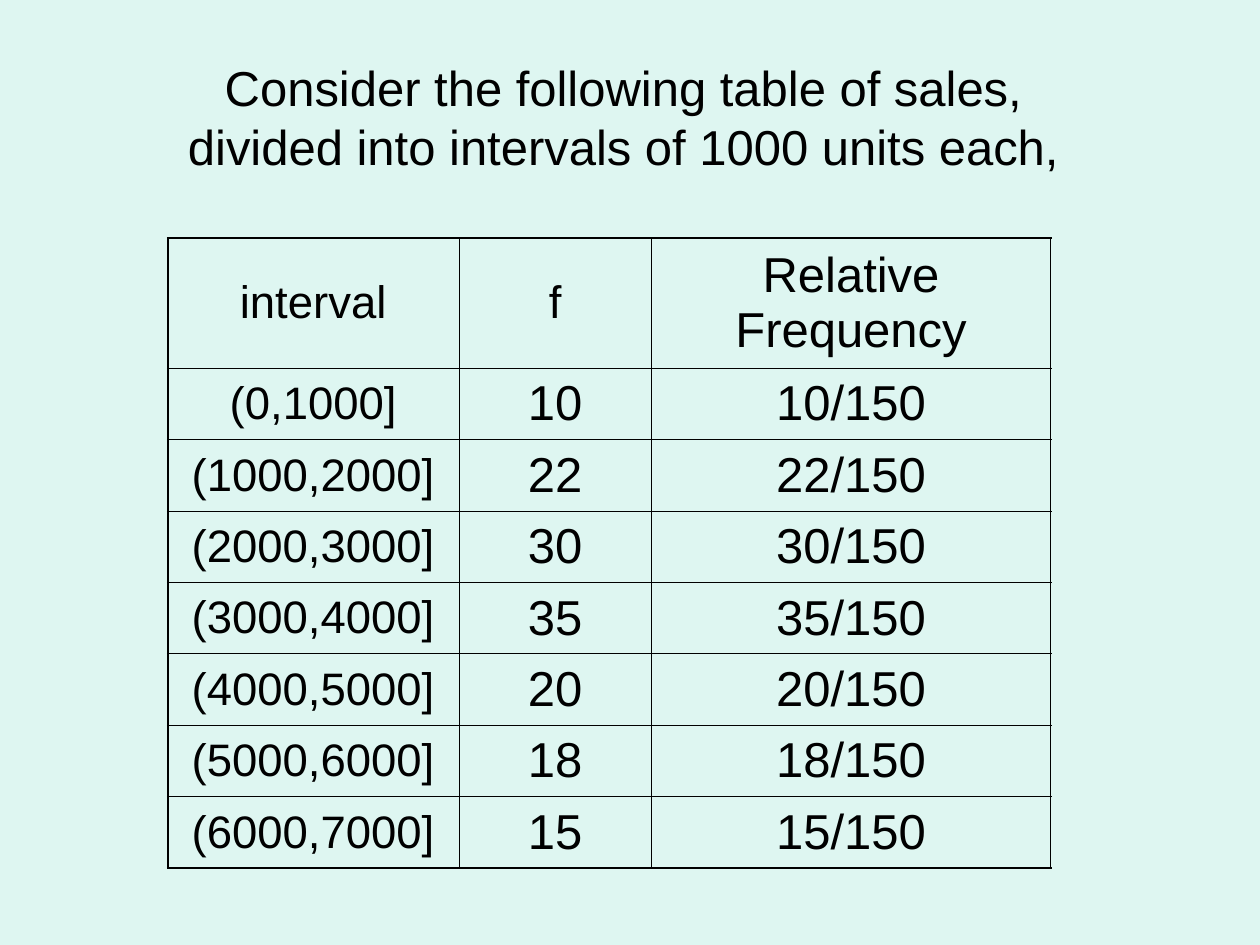
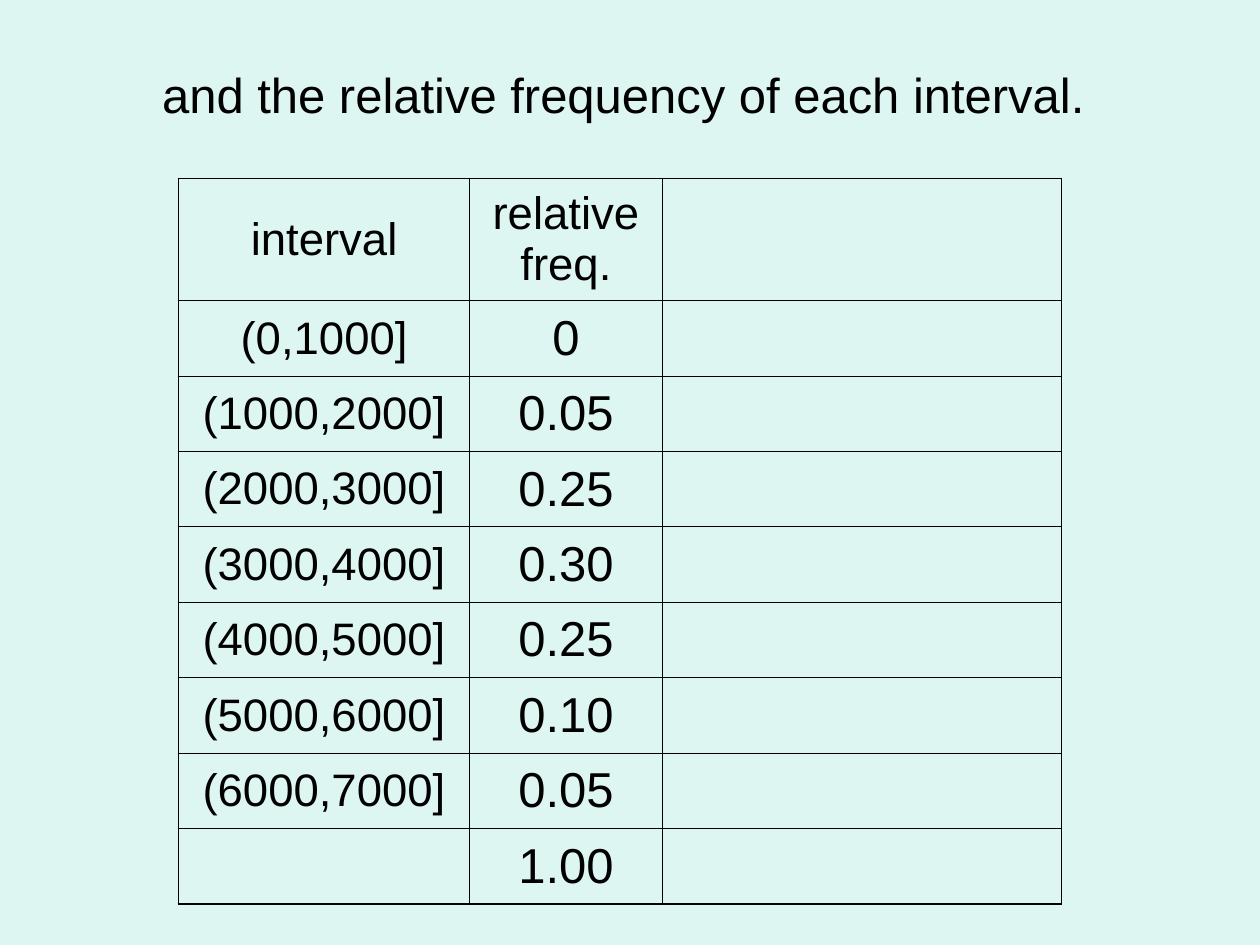
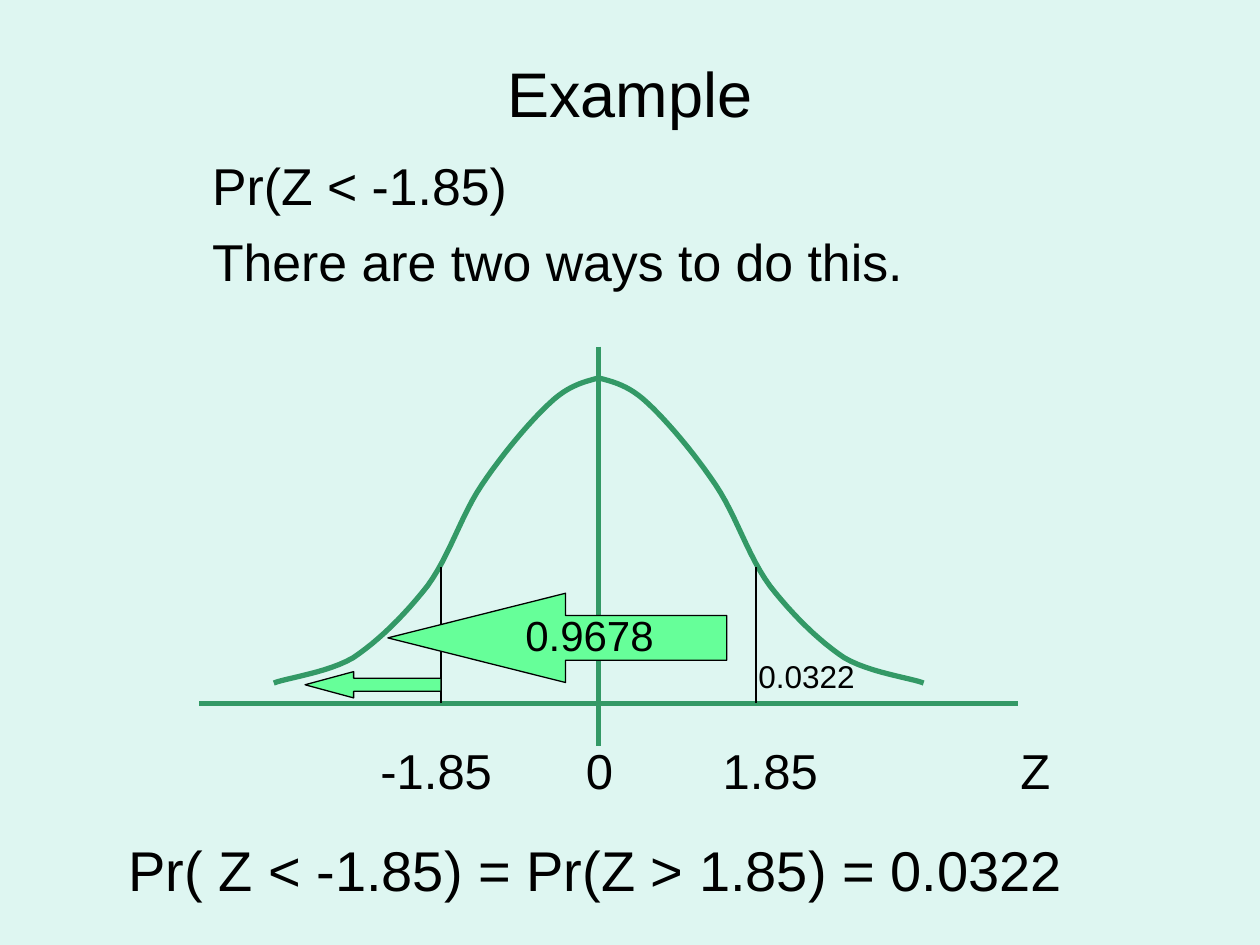
from lxml import etree
from pptx import Presentation
from pptx.dml.color import RGBColor
from pptx.enum.shapes import MSO_CONNECTOR, MSO_SHAPE
from pptx.enum.text import MSO_ANCHOR, MSO_AUTO_SIZE, PP_ALIGN
from pptx.oxml.ns import qn
from pptx.util import Cm, Pt

BACKGROUND = RGBColor(0xDE, 0xF6, 0xF1)
INK = RGBColor(0x00, 0x00, 0x00)
CURVE_GREEN = RGBColor(0x33, 0x99, 0x66)
ARROW_GREEN = RGBColor(0x66, 0xFF, 0x99)
FONT = "Arial"
CENTER, LEFT = PP_ALIGN.CENTER, PP_ALIGN.LEFT
MIDDLE, TOP = MSO_ANCHOR.MIDDLE, MSO_ANCHOR.TOP
NO_AUTOFIT = MSO_AUTO_SIZE.NONE
STRAIGHT = MSO_CONNECTOR.STRAIGHT
LEFT_ARROW = MSO_SHAPE.LEFT_ARROW
OUTER, INNER = Pt(1.08), Pt(0.45)


def write(frame, text, size, align=LEFT, anchor=TOP):
    """Fill a text frame and give all its paragraphs the shared style."""
    frame.text = text
    frame.word_wrap = True
    frame.auto_size = NO_AUTOFIT
    frame.vertical_anchor = anchor
    for paragraph in frame.paragraphs:
        paragraph.alignment = align
        paragraph.space_before = Pt(0)
        for run in paragraph.runs:
            font = run.font
            font.name, font.size, font.color.rgb = FONT, Pt(size), INK


def draw_line(shapes, x1, y1, x2, y2, color, width):
    line = shapes.add_connector(STRAIGHT, Cm(x1), Cm(y1), Cm(x2), Cm(y2))
    line.line.color.rgb = color
    line.line.width = Pt(width)
    etree.SubElement(line._element.spPr, qn("a:effectLst"))


prs = Presentation()
prs.slide_width, prs.slide_height = Cm(25.4), Cm(19.05)
master_fill = prs.slide_master.background.fill
master_fill.solid()
master_fill.fore_color.rgb = BACKGROUND
content_layout, title_only = prs.slide_layouts[1], prs.slide_layouts[5]

# Slides and their titles
titles = [
    dict(layout=title_only, size=28, top=0.76, height=3.18,
         text="Consider the following table of sales, \vdivided into intervals of 1000 units each, "),
    dict(layout=title_only, size=28, top=0.84, height=2.11,
         text="and the relative frequency of each interval. "),
    dict(layout=content_layout, size=36, top=0.76, height=2.21, text="Example"),
]
for item in titles:
    title = prs.slides.add_slide(item["layout"]).shapes.title
    title.left, title.top = Cm(1.27), Cm(item["top"])
    title.width, title.height = Cm(22.86), Cm(item["height"])
    write(title.text_frame, item["text"], item["size"], CENTER, MIDDLE)
sales_slide, relative_slide, example_slide = prs.slides

# Frequency tables
intervals = [f"({start},{start + 1000}]" for start in range(0, 7000, 1000)]
frequencies = [10, 22, 30, 35, 20, 18, 15]
relative = ["0", "0.05", "0.25", "0.30", "0.25", "0.10", "0.05"]
sales_rows = [("interval", "f", "Relative Frequency")]
sales_rows += [(i, str(f), f"{f}/150") for i, f in zip(intervals, frequencies)]
relative_rows = [("interval", "relative freq.", "")]
relative_rows += [(i, r, "") for i, r in zip(intervals, relative)]
relative_rows.append(("", "1.00", ""))

column_widths = [5.87, 3.88, 8.05]
tables = [
    dict(slide=sales_slide, rows=sales_rows, left=3.38, top=4.8, header=2.62, row=1.44),
    dict(slide=relative_slide, rows=relative_rows, left=3.6, top=3.6, header=2.46, row=1.52),
]
for spec_ in tables:
    rows = spec_["rows"]
    heights = [spec_["header"]] + [spec_["row"]] * (len(rows) - 1)
    table = spec_["slide"].shapes.add_table(
        len(rows), len(column_widths), Cm(spec_["left"]), Cm(spec_["top"]),
        Cm(sum(column_widths)), Cm(sum(heights))).table
    table.first_row = table.horz_banding = False
    for column, width in zip(table.columns, column_widths):
        column.width = Cm(width)
    for r, (texts, height) in enumerate(zip(rows, heights)):
        table.rows[r].height = Cm(height)
        for c, text in enumerate(texts):
            cell = table.cell(r, c)
            small = c == 0 or (r == 0 and c == 1)
            write(cell.text_frame, text, 26 if small else 28, CENTER)
            cell.vertical_anchor = MIDDLE
            # Thick borders on the outside, thin ones inside
            on_edge = {"a:lnL": c == 0, "a:lnR": c == len(texts) - 1,
                       "a:lnT": r == 0, "a:lnB": r == len(rows) - 1}
            properties = cell._tc.get_or_add_tcPr()
            for tag, outside in on_edge.items():
                border = etree.SubElement(properties, qn(tag), w=str(OUTER if outside else INNER))
                ink = etree.SubElement(border, qn("a:solidFill"))
                etree.SubElement(ink, qn("a:srgbClr"), val=str(INK))
            cell.fill.background()

# Example: the question
shapes = example_slide.shapes
question = example_slide.placeholders[1]
question.left, question.top, question.width, question.height = Cm(4.02), Cm(2.97), Cm(18.2), Cm(3.18)
write(question.text_frame, "Pr(Z < -1.85)\nThere are two ways to do this.", 29.6)
for paragraph in question.text_frame.paragraphs:
    properties = paragraph._p.get_or_add_pPr()
    properties.set("marL", "0")
    properties.set("indent", "0")
    etree.SubElement(properties, qn("a:buNone"))
question.text_frame.paragraphs[1].space_before = Pt(8)

# Example: bell curve, its right half as Bézier points from the peak, mirrored for the left
MEAN_X, AXIS_Y = 12.07, 14.18
half_bell = [(0, 7.62), (0.3, 7.7), (0.61, 7.77), (0.99, 8.13),
             (1.37, 8.48), (1.93, 9.14), (2.36, 9.78),
             (2.77, 10.39), (3.02, 11.23), (3.45, 11.81),
             (3.91, 12.4), (4.45, 12.93), (4.95, 13.26),
             (5.46, 13.56), (6.3, 13.67), (6.55, 13.77)]
STEPS = 12
bell = shapes.add_group_shape().shapes
for side in (1, -1):
    outline = []
    for first in range(0, len(half_bell) - 1, 3):
        for step in range(1, STEPS + 1):
            t = step / STEPS
            weights = [(1 - t) ** 3, 3 * t * (1 - t) ** 2, 3 * t * t * (1 - t), t ** 3]
            x, y = (sum(w * p[axis] for w, p in zip(weights, half_bell[first:first + 4]))
                    for axis in (0, 1))
            outline.append((Cm(MEAN_X + side * x), Cm(y)))
    builder = bell.build_freeform(Cm(MEAN_X), Cm(half_bell[0][1]))
    builder.add_line_segments(outline, close=False)
    half = builder.convert_to_shape()
    half.shadow.inherit = False
    half.fill.background()
    half.line.color.rgb = CURVE_GREEN
    half.line.width = Pt(3)
draw_line(bell, MEAN_X, 6.99, MEAN_X, 15.03, CURVE_GREEN, 3)
draw_line(bell, 4.02, AXIS_Y, 20.53, AXIS_Y, CURVE_GREEN, 3)

# Example: cut-offs at -1.85 and 1.85
for cutoff_x in (15.24, 8.89):
    draw_line(shapes, cutoff_x, 11.43, cutoff_x, AXIS_Y, INK, 0.75)

# Example: arrows over the areas
arrows = [
    dict(at=(7.82, 11.96, 6.83, 1.8), head=1.99),
    dict(at=(6.15, 13.54, 2.74, 0.53), head=1.85),
]
for item in arrows:
    arrow = shapes.add_shape(LEFT_ARROW, *map(Cm, item["at"]))
    arrow.adjustments[0], arrow.adjustments[1] = 0.5, item["head"]
    arrow.shadow.inherit = False
    arrow.fill.solid()
    arrow.fill.fore_color.rgb = ARROW_GREEN
    arrow.line.color.rgb = INK
    arrow.line.width = Pt(0.75)

# Example: labels, with tab stops under the axis
labels = [
    dict(text="0.9678", size=24, at=(10.34, 12.17, 3.66, 1.27), tabs=[]),
    dict(text="-1.85\t0\t1.85\tZ", size=28, at=(7.42, 14.81, 14.81, 1.45), tabs=[4.14, 6.9, 12.9]),
    dict(text="0.0322", size=18, at=(15.04, 13.13, 2.54, 1.02), tabs=[]),
    dict(text="Pr( Z < -1.85) = Pr(Z > 1.85) = 0.0322", size=32, at=(2.34, 16.71, 19.89, 1.63), tabs=[]),
]
for item in labels:
    label = shapes.add_textbox(*map(Cm, item["at"])).text_frame
    write(label, item["text"], item["size"])
    if item["tabs"]:
        tab_list = etree.SubElement(label.paragraphs[0]._p.get_or_add_pPr(), qn("a:tabLst"))
        for stop in item["tabs"]:
            etree.SubElement(tab_list, qn("a:tab"), pos=str(Cm(stop)), algn="l")

prs.save("out.pptx")
